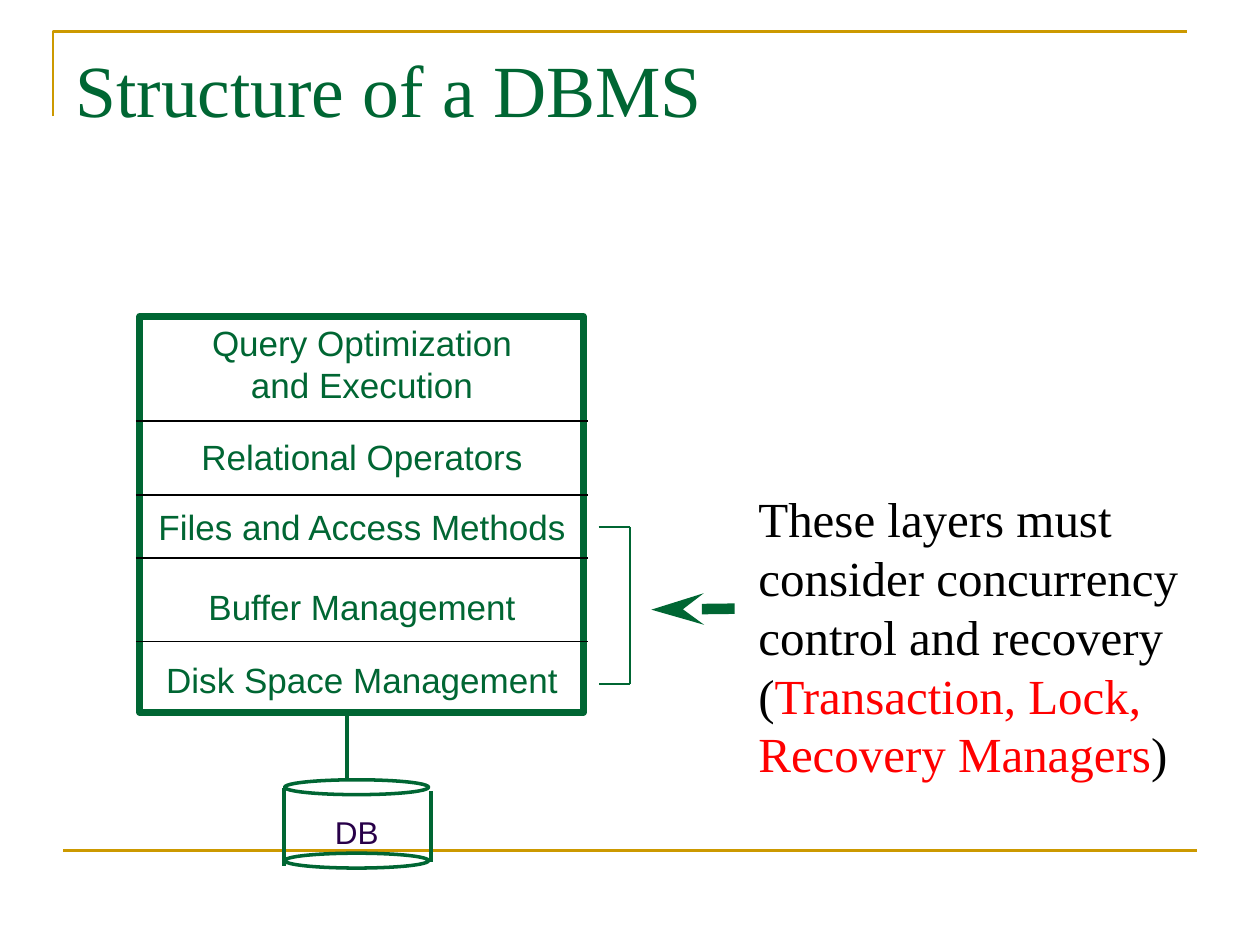
"""Build the slide on the layered structure of a DBMS."""
from lxml.etree import SubElement
from pptx import Presentation
from pptx.dml.color import RGBColor
from pptx.enum.shapes import MSO_CONNECTOR, MSO_SHAPE
from pptx.enum.text import PP_ALIGN
from pptx.oxml.ns import qn
from pptx.util import Cm, Pt

GREEN, GOLD, BLACK, RED, PURPLE = "006633", "CC9900", "000000", "FF0000", "280049"

TITLE = [[("Structure of a DBMS", GREEN)]]
LAYERS = [
    (["Query Optimization", "and Execution"], 6.35, 6.55),
    (["Relational Operators"], 8.66, 7.01),
    (["Files and Access Methods"], 10.06, 8.76),
    (["Buffer Management"], 11.68, 6.73),
    (["Disk Space Management"], 13.16, 8.41),
]
NOTE = [
    [("These layers must consider concurrency", BLACK)],
    [("control and recovery", BLACK)],
    [("(", BLACK), ("Transaction, Lock, Recovery Managers", RED), (")", BLACK)],
]
STACK_CENTRE = 7.3
DIVIDERS = [8.48, 9.98, 11.25, 12.93]
DISK_RIMS = [15.72, 17.2]
DISK_LINES = [
    (5.72, 15.88, 5.72, 17.45),
    (8.69, 15.95, 8.69, 17.37),
    (6.99, 14.43, 6.99, 15.7),
]
BRACKET = [(12.07, 10.62), (12.7, 10.62), (12.7, 13.79), (12.07, 13.79)]
FRAME = [(1.07, 2.34), (1.07, 0.64), (23.93, 0.64)]

deck = Presentation()
deck.slide_width, deck.slide_height = Cm(25.4), Cm(19.05)
slide = deck.slides.add_slide(deck.slide_layouts[6])


def colour(hex_code):
    return RGBColor.from_string(hex_code)


def add_text(paragraphs, left, top, width, height, size=20, font="Arial",
             align=PP_ALIGN.LEFT, wrap=False):
    frame = slide.shapes.add_textbox(Cm(left), Cm(top), Cm(width), Cm(height)).text_frame
    frame.word_wrap = wrap
    for index, runs in enumerate(paragraphs):
        paragraph = frame.paragraphs[0] if index == 0 else frame.add_paragraph()
        paragraph.alignment = align
        paragraph.line_spacing = Pt(size * 1.2)
        for words, hue in runs:
            run = paragraph.add_run()
            run.text = words
            run.font.name, run.font.size = font, Pt(size)
            run.font.color.rgb = colour(hue)


def add_line(x1, y1, x2, y2, hue, weight):
    line = slide.shapes.add_connector(MSO_CONNECTOR.STRAIGHT, Cm(x1), Cm(y1), Cm(x2), Cm(y2))
    line.line.color.rgb, line.line.width = colour(hue), Pt(weight)
    SubElement(line._element.spPr, qn("a:effectLst"))
    return line


def outline(shape, hue, weight):
    shape.fill.background()
    shape.shadow.inherit = False
    shape.line.color.rgb, shape.line.width = colour(hue), Pt(weight)


def add_outline(kind, left, top, width, height, weight):
    shape = slide.shapes.add_shape(kind, Cm(left), Cm(top), Cm(width), Cm(height))
    outline(shape, GREEN, weight)


corner = slide.shapes.build_freeform(Cm(FRAME[0][0]), Cm(FRAME[0][1]))
corner.add_line_segments([(Cm(x), Cm(y)) for x, y in FRAME[1:]], close=False)
outline(corner.convert_to_shape(), GOLD, 1.5)
add_line(1.27, 17.15, 24.13, 17.15, GOLD, 1.5)

for lines, top, width in LAYERS:
    add_text([[(words, GREEN)] for words in lines], STACK_CENTRE - width / 2, top,
             width, 0.25 + 0.85 * len(lines), align=PP_ALIGN.CENTER)
add_outline(MSO_SHAPE.RECTANGLE, 2.82, 6.38, 8.94, 7.98, 4)
for y in DIVIDERS:
    add_line(2.74, y, 11.86, y, BLACK, 1)

for top in DISK_RIMS:
    add_outline(MSO_SHAPE.OVAL, 5.74, top, 2.9, 0.3, 2)
for ends in DISK_LINES:
    add_line(*ends, GREEN, 2)
add_text([[("DB", PURPLE)]], 6.5, 16.26, 1.4, 1.02, size=18)

for start, end in zip(BRACKET, BRACKET[1:]):
    add_line(*start, *end, GREEN, 1)
add_text(NOTE, 15.04, 9.73, 9.53, 6.2, size=28, font="Times New Roman", wrap=True)
arrow = add_line(14.81, 12.27, 13.13, 12.29, GREEN, 6)
SubElement(arrow.line._get_or_add_ln(), qn("a:tailEnd"), type="stealth", w="med", len="lg")

add_text(TITLE, 1.27, 0.76, 22.86, 3.18, size=42, font="Times New Roman", wrap=True)

deck.save("out.pptx")
